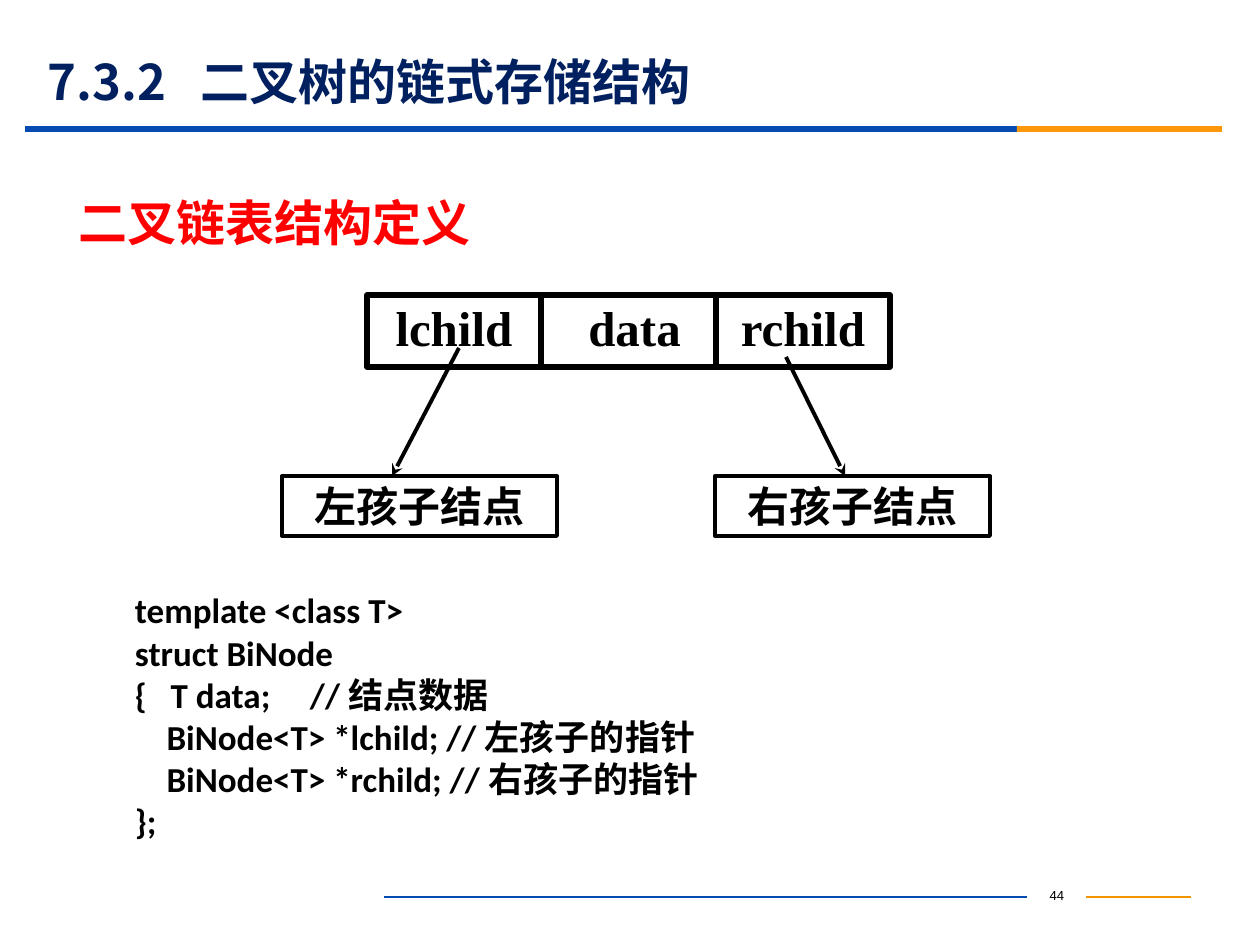
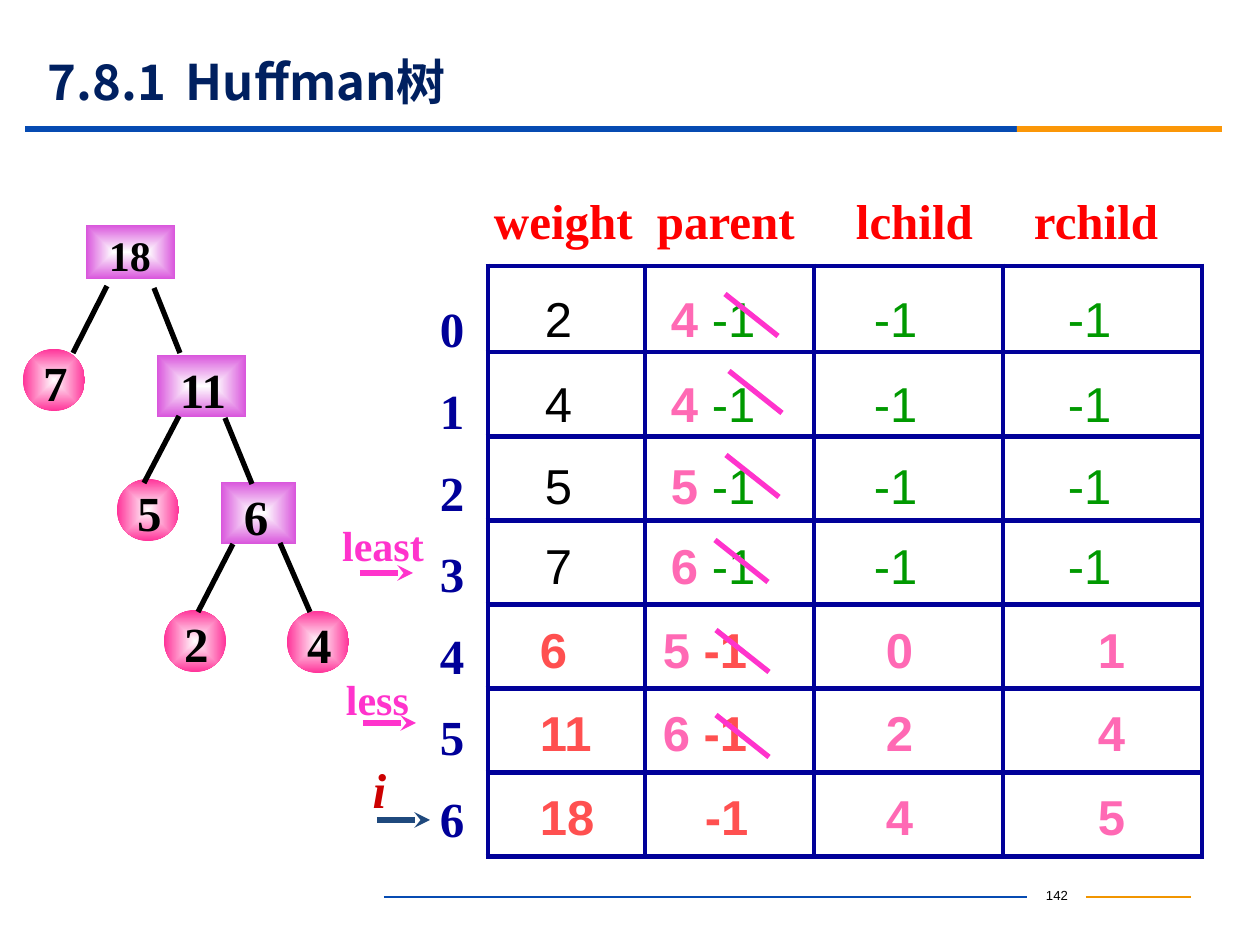
from lxml.etree import SubElement
from pptx import Presentation
from pptx.dml.color import RGBColor
from pptx.enum.shapes import MSO_CONNECTOR, MSO_SHAPE
from pptx.enum.text import MSO_ANCHOR, PP_ALIGN
from pptx.oxml import parse_xml
from pptx.oxml.ns import nsdecls, qn
from pptx.util import Emu, Pt

BLACK = RGBColor(0x00, 0x00, 0x00)
NAVY = RGBColor(0x00, 0x20, 0x60)
BAND_BLUE = RGBColor(0x06, 0x4B, 0xB2)
BAND_ORANGE = RGBColor(0xFB, 0x97, 0x08)
RULE_ORANGE = RGBColor(0xF1, 0x95, 0x00)
RED = RGBColor(0xFF, 0x00, 0x00)
DARK_RED = RGBColor(0xCC, 0x00, 0x00)
CORAL = RGBColor(0xFF, 0x50, 0x50)
GREEN = RGBColor(0x00, 0x99, 0x00)
GRID_BLUE = RGBColor(0x00, 0x00, 0x99)
STEEL = RGBColor(0x1F, 0x49, 0x7D)
MAGENTA = RGBColor(0xFF, 0x33, 0xCC)
PINK = RGBColor(0xFF, 0x69, 0xB4)
LEAF_PINK = RGBColor(0xFF, 0x33, 0x99)
INNER_PURPLE = RGBColor(0xD9, 0x55, 0xDC)

SANS = "Noto Sans CJK SC"
SERIF = "Times New Roman"
CENTER = PP_ALIGN.CENTER
PX = 914400 / 126


def px(*lengths):
    return [Emu(round(length * PX)) for length in lengths]


def write(holder, lines, size, color=BLACK, face=SERIF, bold=True, italic=False,
          align=PP_ALIGN.LEFT, anchor=MSO_ANCHOR.MIDDLE,
          margins=(13, 6, 13, 6), gap=0, tabs=()):
    """Fill a text frame or table cell; a line is a string or (text, overrides) spans."""
    frame = getattr(holder, "text_frame", holder)
    frame.word_wrap = True
    holder.vertical_anchor = anchor
    for side, margin in zip(("left", "top", "right", "bottom"), px(*margins)):
        setattr(holder, f"margin_{side}", margin)
    for number, line in enumerate(lines):
        para = frame.add_paragraph() if number else frame.paragraphs[0]
        para.alignment = align
        if number and gap:
            para.space_before = Pt(gap)
        if tabs:
            stops = SubElement(para._p.get_or_add_pPr(), qn("a:tabLst"))
            for stop in px(*tabs):
                SubElement(stops, qn("a:tab"), pos=str(stop), algn="l")
        for text, overrides in [(line, {})] if isinstance(line, str) else line:
            span = para.add_run()
            span.text = text
            look = {"size": Pt(size), "bold": bold, "italic": italic, "name": face}
            shade = overrides.get("color", color)
            look.update({k: v for k, v in overrides.items() if k != "color"})
            for name, value in look.items():
                setattr(span.font, name, value)
            span.font.color.rgb = shade
            SubElement(span._r.get_or_add_rPr(), qn("a:ea"), typeface=face)


# The drawing of lines is data: every slide collects (x1, y1, x2, y2, colour, width, arrow)
deck = Presentation()
deck.slide_width, deck.slide_height = px(1260, 945)
pages = []
for number, section, name, tab in (
    ("44", "7.3.2", "二叉树的链式存储结构", 153),
    ("142", "7.8.1", "Huffman树", 138),
):
    page = deck.slides.add_slide(deck.slide_layouts[6])
    pages.append(page)
    for left, width, color in ((25, 992, BAND_BLUE), (1017, 205, BAND_ORANGE)):
        band = page.shapes.add_shape(MSO_SHAPE.RECTANGLE, *px(left, 126, width, 6))
        band.shadow.inherit = False
        band.fill.solid()
        band.fill.fore_color.rgb = color
        band.line.fill.background()
    title = page.shapes.add_textbox(*px(35, 54, 1134, 54))
    write(title.text_frame, [f"{section}\t{name}"], 28, NAVY, SANS, tabs=[tab])
    footer = page.shapes.add_textbox(*px(1027, 881, 60, 31))
    write(footer.text_frame, [number], 7.5, face="Arial", bold=False, align=CENTER,
          anchor=MSO_ANCHOR.TOP)

storage, huffman = pages
lines = []
for page in pages:
    lines += [(page, 384, 897, 1027, 897, BAND_BLUE, 0.75, False),
              (page, 1086, 897, 1191, 897, RULE_ORANGE, 0.75, False)]

# Binary linked list: definition, node layout and code
heading = storage.shapes.add_textbox(*px(66, 186, 639, 72))
write(heading.text_frame, ["二叉链表结构定义"], 28, RED, SANS)

for text, frame, weight, size, face, margins in (
    ("lchild", (367, 295, 174, 72), 3, 28, SERIF, (13, 0, 13, 8)),
    ("data", (541, 295, 175, 72), 3, 28, SERIF, (25, 0, 13, 8)),
    ("rchild", (716, 295, 174, 72), 3, 28, SERIF, (13, 0, 13, 8)),
    ("左孩子结点", (282, 476, 275, 60), 2.25, 24, "Arial", (3, 0, 3, 1)),
    ("右孩子结点", (715, 476, 275, 60), 2.25, 24, "Arial", (3, 0, 3, 1)),
):
    box = storage.shapes.add_shape(MSO_SHAPE.RECTANGLE, *px(*frame))
    box.shadow.inherit = False
    box.fill.background()
    box.line.color.rgb = BLACK
    box.line.width = Pt(weight)
    write(box.text_frame, [text], size, face=face, align=CENTER, margins=margins)

lines += [(storage, 459, 348, 392, 476, BLACK, 2.25, True),
          (storage, 786, 357, 845, 476, BLACK, 2.25, True)]

code = storage.shapes.add_textbox(*px(122, 583, 935, 265))
write(code.text_frame, [
    "template <class T>",
    "struct BiNode",
    "{   T data;     // 结点数据",
    "    BiNode<T> *lchild; // 左孩子的指针",
    "    BiNode<T> *rchild; // 右孩子的指针",
    "};",
], 20, face="Calibri", anchor=MSO_ANCHOR.TOP)

# Huffman table: weight, new parent, old parent, lchild, rchild
records = [
    ("2", "4", "-1", "-1", "-1"),
    ("4", "4", "-1", "-1", "-1"),
    ("5", "5", "-1", "-1", "-1"),
    ("7", "6", "-1", "-1", "-1"),
    ("6", "5", "-1", "0", "1"),
    ("11", "6", "-1", "2", "4"),
    ("18", "", "-1", "4", "5"),
]
LEAVES = 4
ROW_HEIGHT = 84
column_widths = (157, 169, 189, 199)
text_tops = (27, 26, 23, 19, 20, 19, 19)

headings = huffman.shapes.add_textbox(*px(481, 184, 752, 72))
write(headings.text_frame, ["weight\tparent\tlchild\trchild"], 28, RED,
      tabs=(163, 362, 540))

table = huffman.shapes.add_table(
    len(records), len(column_widths),
    *px(488, 266, sum(column_widths), ROW_HEIGHT * len(records))).table
table.first_row = table.horz_banding = False
for column, width in zip(table.columns, px(*column_widths)):
    column.width = width
for row, (weight, parent, old_parent, lchild, rchild) in enumerate(records):
    table.rows[row].height = px(ROW_HEIGHT)[0]
    leaf = row < LEAVES
    old = {"color": GREEN if leaf else CORAL, "bold": not leaf}
    child = {"color": GREEN if leaf else PINK, "bold": not leaf}
    parents = [(old_parent, old)]
    if parent:
        parents.insert(0, (parent + " ", {"color": PINK}))
    cells = (
        ([(weight, {"color": BLACK if leaf else CORAL, "bold": not leaf})],
         57 if leaf else 52),
        (parents, 26 if leaf else 18 if parent else 60),
        ([(lchild, child)], 60 if leaf else 72),
        ([(rchild, child)], 65 if leaf else 95),
    )
    for column, (spans, indent) in enumerate(cells):
        cell = table.cell(row, column)
        write(cell, [spans], 28, face="Arial", anchor=MSO_ANCHOR.TOP,
              margins=(indent, text_tops[row], 0, 0))
        cell.fill.background()
        properties = cell._tc.get_or_add_tcPr()
        for place, side in enumerate("LRTB"):
            properties.insert(place, parse_xml(
                f'<a:ln{side} {nsdecls("a")} w="{Pt(3)}"><a:solidFill>'
                f'<a:srgbClr val="{GRID_BLUE}"/></a:solidFill></a:ln{side}>'))

indices = huffman.shapes.add_textbox(*px(427, 299, 50, 532))
write(indices.text_frame, [str(row) for row in range(len(records))], 28, GRID_BLUE,
      align=CENTER, anchor=MSO_ANCHOR.TOP, margins=(0, 0, 0, 0), gap=13)

for x, y in ((725, 294), (729, 371), (726, 455), (715, 540), (716, 630), (716, 715)):
    lines.append((huffman, x, y, x + 53, y + 42, MAGENTA, 3, False))

for text, frame, size, color, (x, y), arrow_color in (
    ("least", (329, 513, 108, 64), 24, MAGENTA, (360, 573), MAGENTA),
    ("less", (333, 667, 89, 64), 24, MAGENTA, (363, 723), MAGENTA),
    ("i", (360, 753, 39, 72), 28, DARK_RED, (377, 820), STEEL),
):
    label = huffman.shapes.add_textbox(*px(*frame))
    write(label.text_frame, [text], size, color, italic=text == "i", align=CENTER,
          margins=(0, 6, 0, 6))
    lines.append((huffman, x, y, x + 53, y, arrow_color, 3, True))

# Huffman tree: inner nodes are rectangles, leaves are circles
for text, inner, frame, size in (
    ("18", True, (86, 225, 89, 54), 24),
    ("7", False, (23, 349, 62, 62), 28),
    ("11", True, (157, 355, 89, 62), 28),
    ("5", False, (117, 479, 62, 62), 28),
    ("6", True, (221, 482, 75, 62), 28),
    ("2", False, (164, 610, 62, 62), 28),
    ("4", False, (287, 611, 62, 62), 28),
):
    kind = MSO_SHAPE.RECTANGLE if inner else MSO_SHAPE.OVAL
    node = huffman.shapes.add_shape(kind, *px(*frame))
    node.shadow.inherit = False
    node.line.fill.background()
    rim = INNER_PURPLE if inner else LEAF_PINK
    node._element.spPr.insert(2, parse_xml(
        f'<a:gradFill {nsdecls("a")}><a:gsLst>'
        f'<a:gs pos="0"><a:srgbClr val="FFFFFF"/></a:gs>'
        f'<a:gs pos="100000"><a:srgbClr val="{rim}"/></a:gs></a:gsLst>'
        f'<a:path path="shape"><a:fillToRect l="50000" t="50000" r="50000" b="50000"/>'
        f'</a:path></a:gradFill>'))
    write(node.text_frame, [text], size, align=PP_ALIGN.LEFT if inner else CENTER,
          margins=(23, 5, 0, 0) if inner else (3, 4, 0, 0))

for branch in ((107, 286, 73, 353), (154, 288, 180, 353),
               (179, 416, 144, 483), (225, 418, 252, 484),
               (233, 544, 198, 612), (280, 543, 310, 612)):
    lines.append((huffman, *branch, BLACK, 3, False))

for page, x1, y1, x2, y2, color, weight, arrow in lines:
    line = page.shapes.add_connector(MSO_CONNECTOR.STRAIGHT, *px(x1, y1, x2, y2))
    line.line.color.rgb = color
    line.line.width = Pt(weight)
    if arrow:
        SubElement(line.line._get_or_add_ln(), qn("a:tailEnd"), type="stealth")
    SubElement(line._element.spPr, qn("a:effectLst"))

deck.save("out.pptx")
